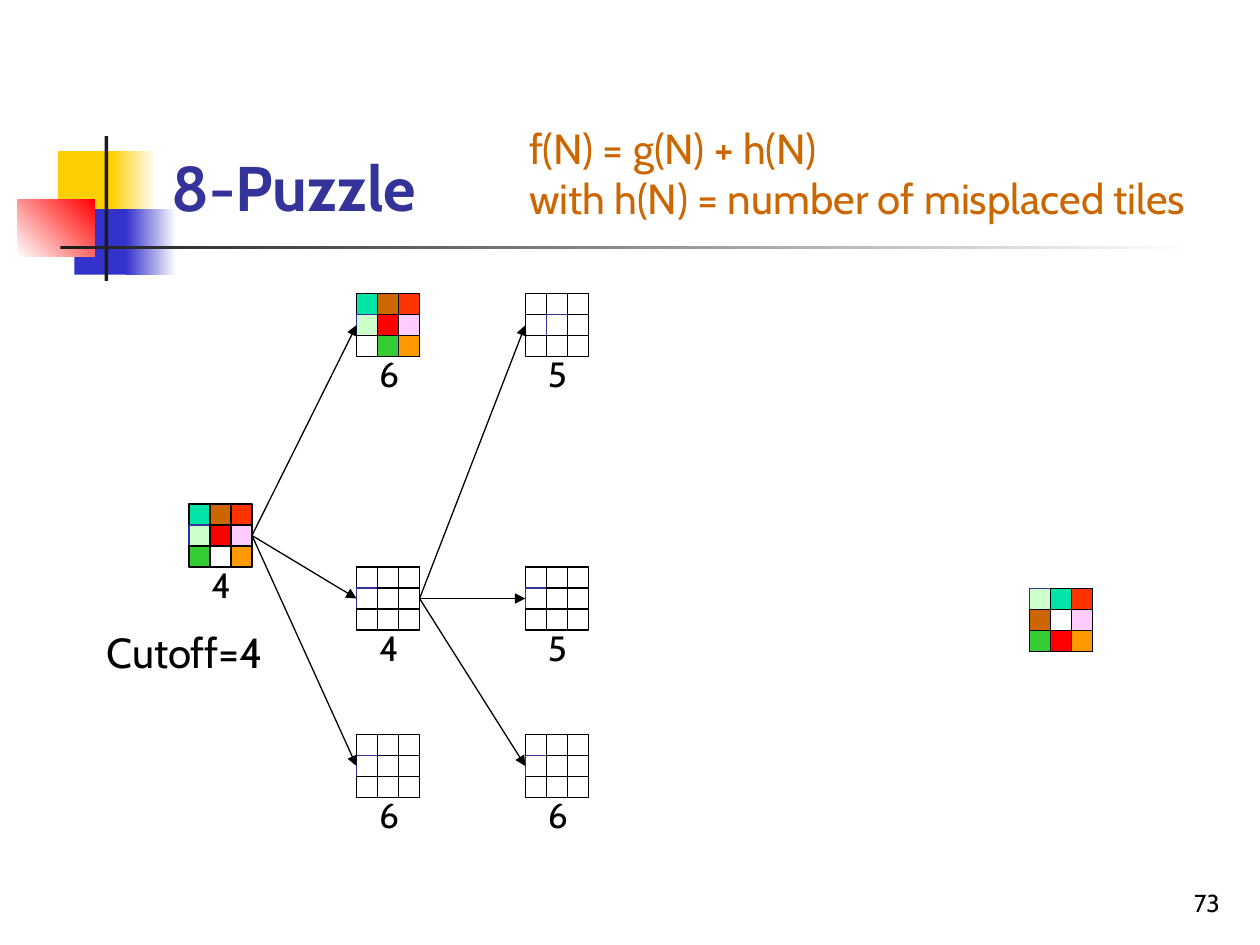
import pptx
import pptx.dml.color
import pptx.enum.shapes
import pptx.enum.text
import pptx.oxml
import pptx.oxml.ns
import pptx.util

Inches = pptx.util.Inches
Pt = pptx.util.Pt
RGBColor = pptx.dml.color.RGBColor
RECTANGLE = pptx.enum.shapes.MSO_SHAPE.RECTANGLE
STRAIGHT = pptx.enum.shapes.MSO_CONNECTOR.STRAIGHT
ANCHOR = pptx.enum.text.MSO_ANCHOR
ALIGN = pptx.enum.text.PP_ALIGN

COLORS = {
    "black": "000000", "white": "FFFFFF", "navy": "333399", "rule": "1C1C1C",
    "yellow": "FFCF01", "blue": "3333CC", "teal": "00E4A8", "brown": "CC6600",
    "mint": "CCFFCC", "red": "FF0000", "pink": "FFCCFF", "green": "33CC33",
    "amber": "FF9900", "orange": "FF3300",
}
TILE_FILLS = {
    "T": "teal", "B": "brown", "O": "orange", "M": "mint", "R": "red",
    "P": "pink", "G": "green", "A": "amber", ".": "white", "N": "white",
}
NAVY_OUTLINED = "MN"
BOARD_SIZE = 0.5
TILE_SIZE = BOARD_SIZE / 3


def color(name):
    return RGBColor.from_string(COLORS[name])


def write_text(box, text, size, fill="black", bold=False, align=ALIGN.LEFT,
               anchor=ANCHOR.TOP):
    frame = box.text_frame
    frame.word_wrap = True
    frame.auto_size = pptx.enum.text.MSO_AUTO_SIZE.NONE
    frame.vertical_anchor = anchor
    for index, line in enumerate(text.split("\n")):
        para = frame.paragraphs[0] if index == 0 else frame.add_paragraph()
        para.alignment = align
        span = para.add_run()
        span.text = line
        span.font.name = "Cabin"
        span.font.size = Pt(size)
        span.font.bold = bold
        span.font.color.rgb = color(fill)


deck = pptx.Presentation()
deck.slide_width = Inches(10)
deck.slide_height = Inches(7.5)
page = deck.slides.add_slide(deck.slide_layouts[5])

decorations = [
    (0.46, 1.2, 0.48, 0.52, ["yellow"], 0),
    (0.88, 1.2, 0.36, 0.52, ["yellow", "white"], 0),
    (0.59, 1.66, 0.46, 0.52, ["blue"], 0),
    (1, 1.66, 0.4, 0.52, ["blue", "white"], 0),
    (0.14, 1.58, 0.61, 0.46, ["white", "red"], 45),
    (0.83, 1.08, 0.03, 1.15, ["rule"], 0),
    (0.48, 1.95, 9, 0.03, ["rule", "white"], 0),
]
for left, top, width, height, fills, angle in decorations:
    block = page.shapes.add_shape(
        RECTANGLE, Inches(left), Inches(top), Inches(width), Inches(height))
    block.shadow.inherit = False
    block.line.fill.background()
    if len(fills) == 1:
        block.fill.solid()
        block.fill.fore_color.rgb = color(fills[0])
    else:
        block.fill.gradient()
        block.fill.gradient_angle = angle
        for stop, name in zip(block.fill.gradient_stops, fills):
            stop.color.rgb = color(name)

title = page.shapes.title
title.left, title.top = Inches(1.26), Inches(0.23)
title.width, title.height = Inches(8.52), Inches(1.6)
write_text(title, "8-Puzzle", size=36, fill="navy", bold=True, anchor=ANCHOR.BOTTOM)

boards = {
    "root": (1.5, 4, "TBOMRPG.A", "4"),
    "up": (2.83, 2.33, "TBOMRP.GA", "6"),
    "middle": (2.83, 4.5, "...N.....", "4"),
    "down": (2.83, 5.83, "...N.....", "6"),
    "middle up": (4.17, 2.33, "....N....", "5"),
    "middle right": (4.17, 4.5, "...N.....", "5"),
    "middle down": (4.17, 5.83, "...N.....", "6"),
    "goal": (8.17, 4.67, "MTOB.PGRA", ""),
}
left_tiles = {}
right_tiles = {}
for name, (left, top, state, cost) in boards.items():
    group = page.shapes.add_group_shape()
    if cost:
        label = group.shapes.add_textbox(
            Inches(left + 0.08), Inches(top + 0.42), Inches(0.35), Inches(0.43))
        write_text(label, cost, size=20)
    tiles = []
    for index, code in enumerate(state):
        row, column = divmod(index, 3)
        tile = group.shapes.add_shape(
            RECTANGLE, Inches(left + column * TILE_SIZE),
            Inches(top + row * TILE_SIZE), Inches(TILE_SIZE), Inches(TILE_SIZE))
        tile.shadow.inherit = False
        tile.fill.solid()
        tile.fill.fore_color.rgb = color(TILE_FILLS[code])
        tile.line.color.rgb = color("navy" if code in NAVY_OUTLINED else "black")
        tile.line.width = Pt(0.75)
        tiles.append(tile)
    left_tiles[name], right_tiles[name] = tiles[3], tiles[5]

moves = [
    ("root", "up"), ("root", "middle"), ("root", "down"),
    ("middle", "middle up"), ("middle", "middle right"), ("middle", "middle down"),
]
for parent, child in moves:
    arrow = page.shapes.add_connector(STRAIGHT, 0, 0, 0, 0)
    arrow.begin_connect(right_tiles[parent], 3)
    arrow.end_connect(left_tiles[child], 1)
    arrow.line.color.rgb = color("black")
    arrow.line.width = Pt(0.75)
    head = pptx.oxml.parse_xml(
        f'<a:tailEnd {pptx.oxml.ns.nsdecls("a")} type="triangle"/>')
    arrow.line._get_or_add_ln().append(head)
    arrow._element.spPr.append(
        pptx.oxml.parse_xml(f'<a:effectLst {pptx.oxml.ns.nsdecls("a")}/>'))

cutoff = page.shapes.add_textbox(Inches(0.75), Inches(4.92), Inches(1.52), Inches(0.5))
write_text(cutoff, "Cutoff=4", size=24)

formula = page.shapes.add_textbox(Inches(4.1), Inches(0.92), Inches(5.82), Inches(0.9))
write_text(formula, "f(N) = g(N) + h(N)\nwith h(N) = number of misplaced tiles",
           size=24, fill="brown")

number = page.shapes.add_textbox(Inches(7.7), Inches(6.83), Inches(2.08), Inches(0.5))
write_text(number, "73", size=14, align=ALIGN.RIGHT, anchor=ANCHOR.BOTTOM)

deck.save("out.pptx")
